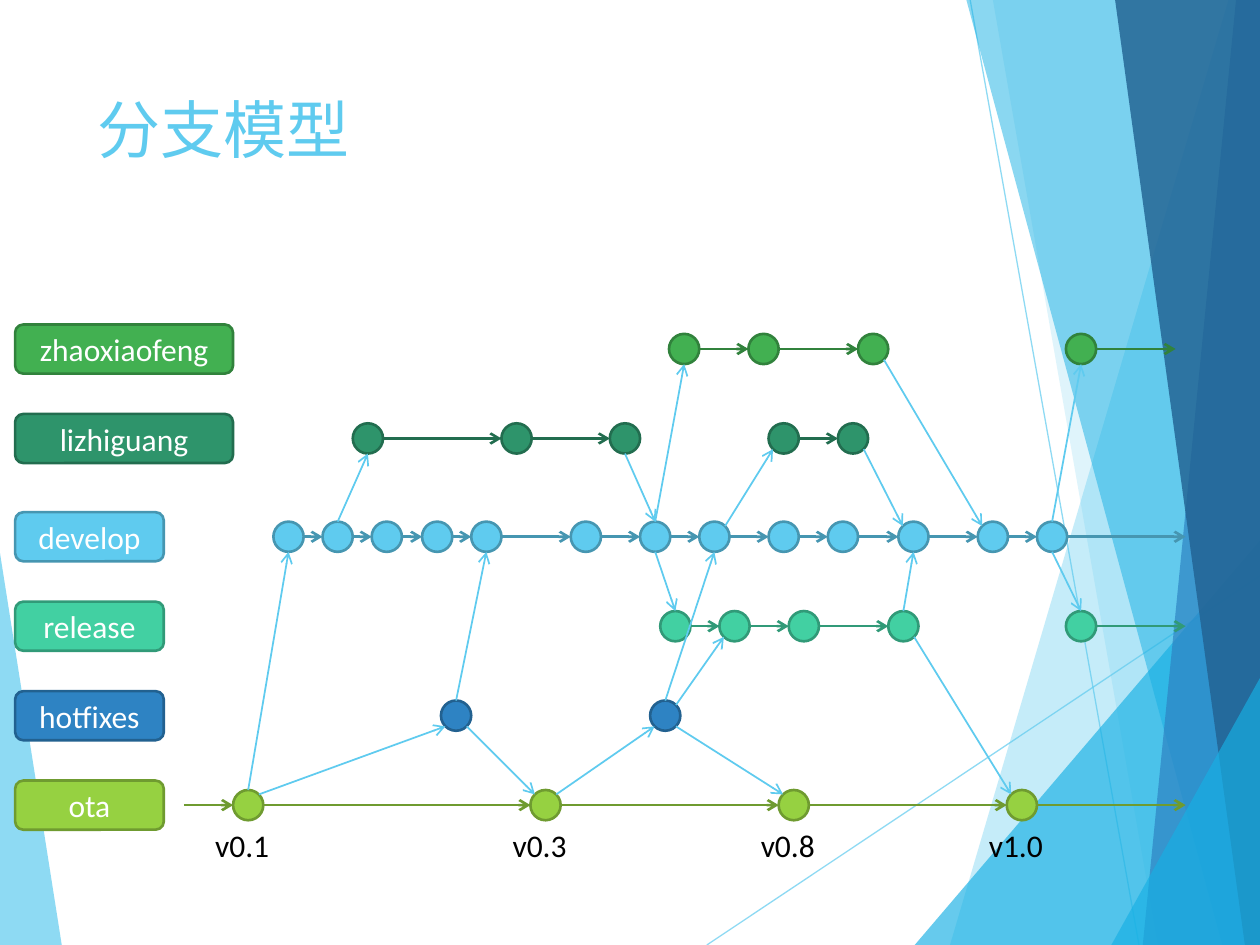
"""Build the branching model slide: one lane per branch, with merges between lanes."""
from lxml import etree
from pptx import Presentation
from pptx.dml.color import RGBColor
from pptx.enum.shapes import MSO_CONNECTOR, MSO_SHAPE
from pptx.enum.text import MSO_ANCHOR, PP_ALIGN
from pptx.oxml.ns import qn
from pptx.util import Inches, Pt

STRAIGHT = MSO_CONNECTOR.STRAIGHT
ROUNDED, CIRCLE = MSO_SHAPE.ROUNDED_RECTANGLE, MSO_SHAPE.FLOWCHART_CONNECTOR
TOP, MIDDLE = MSO_ANCHOR.TOP, MSO_ANCHOR.MIDDLE
LEFT, CENTER = PP_ALIGN.LEFT, PP_ALIGN.CENTER

SKY = RGBColor(0x5F, 0xCB, 0xEF)
SKY_DARK = RGBColor(0x46, 0x96, 0xB1)
CYAN = RGBColor(0x17, 0xB0, 0xE4)
BLUE = RGBColor(0x2E, 0x83, 0xC3)
BLUE_DARK = RGBColor(0x22, 0x61, 0x90)
NAVY = RGBColor(0x22, 0x62, 0x92)
GREEN = RGBColor(0x42, 0xB0, 0x51)
GREEN_DARK = RGBColor(0x31, 0x82, 0x3C)
PINE = RGBColor(0x2E, 0x94, 0x6B)
PINE_DARK = RGBColor(0x22, 0x6D, 0x4F)
MINT = RGBColor(0x42, 0xD0, 0xA2)
MINT_DARK = RGBColor(0x31, 0x9A, 0x78)
LIME = RGBColor(0x96, 0xD1, 0x41)
LIME_DARK = RGBColor(0x6F, 0x9B, 0x30)
WHITE = RGBColor(0xFF, 0xFF, 0xFF)
BLACK = RGBColor(0, 0, 0)

FONT = "Calibri"
NODE = 0.24
R = NODE / 2
D = 0.085
PORTS = {"n": (0, -R), "s": (0, R), "ne": (D, -D), "nw": (-D, -D),
         "se": (D, D), "sw": (-D, D)}


def set_alpha(color_parent, percent):
    clr = next(color_parent.iter(qn("a:srgbClr")))
    etree.SubElement(clr, qn("a:alpha")).set("val", str(percent * 1000))


def add_line(x1, y1, x2, y2, color, width, arrow=True):
    cxn = shapes.add_connector(STRAIGHT, Inches(x1), Inches(y1), Inches(x2), Inches(y2))
    cxn.line.color.rgb = color
    cxn.line.width = Pt(width)
    spPr = cxn._element.spPr
    if arrow:
        etree.SubElement(spPr.find(qn("a:ln")), qn("a:tailEnd")).set("type", "arrow")
    etree.SubElement(spPr, qn("a:effectLst"))
    return cxn


prs = Presentation()
prs.slide_width, prs.slide_height = Inches(10), Inches(7.5)
s = prs.slides.add_slide(prs.slide_layouts[5])
shapes = s.shapes

title = shapes.title
title.left, title.top, title.width, title.height = map(Inches, (0.67, 0.67, 6.94, 1.44))
tf = title.text_frame
tf.text = "分支模型"
tf.vertical_anchor = TOP
p = tf.paragraphs[0]
p.alignment = LEFT
p.font.name, p.font.size, p.font.color.rgb = FONT, Pt(36), SKY

for ends in [(5.61, 7.5, 10, 4.57), (7.7, 0, 9.04, 7.5)]:
    ray = add_line(*ends, SKY, 0.75, arrow=False)
    set_alpha(ray._element.spPr, 70)

facets = [
    (SKY, 70, [(0, 4.39), (0.49, 7.5), (0, 7.5)]),
    (SKY, 36, [(9.75, 0), (7.54, 7.5), (10, 7.5), (10, 0)]),
    (SKY, 20, [(7.88, 0), (9.19, 7.5), (10, 7.5), (10, 0)]),
    (CYAN, 66, [(7.26, 7.5), (10, 4.29), (10, 7.5)]),
    (CYAN, 50, [(7.67, 0), (9.7, 7.5), (10, 7.5), (10, 0)]),
    (BLUE, 70, [(9.81, 0), (9.07, 7.5), (10, 7.5), (10, 0)]),
    (NAVY, 82, [(8.85, 0), (9.88, 7.5), (10, 7.5), (10, 0)]),
    (CYAN, 66, [(8.82, 7.5), (10, 5.38), (10, 7.5)]),
]
for color, alpha, points in facets:
    corners = [(Inches(x), Inches(y)) for x, y in points]
    builder = shapes.build_freeform(*corners[0])
    builder.add_line_segments(corners[1:], close=True)
    sp = builder.convert_to_shape()
    sp.shadow.inherit = False
    sp.fill.solid()
    sp.fill.fore_color.rgb = color
    sp.line.fill.background()
    set_alpha(sp._element.spPr, alpha)

# lane: name, centre height, label width, fill, line, runs of (node lefts, arrow end)
lanes = [
    ("zhaoxiaofeng", 2.77, 1.73, GREEN, GREEN_DARK,
     [([5.31, 5.94, 6.81], None), ([8.46], 9.33)]),
    ("lizhiguang", 3.48, 1.73, PINE, PINE_DARK,
     [([2.8, 3.98, 4.84], None), ([6.1, 6.65], None)]),
    ("develop", 4.26, 1.18, SKY, SKY_DARK,
     [([2.17, 2.56, 2.95, 3.35, 3.74, 4.53, 5.08, 5.55, 6.1, 6.57, 7.13, 7.76, 8.23], 9.41)]),
    ("release", 4.97, 1.18, MINT, MINT_DARK,
     [([5.24, 5.71, 6.26, 7.05], None), ([8.46], 9.41)]),
    ("hotfixes", 5.68, 1.18, BLUE, BLUE_DARK, [([3.5], None), ([5.16], None)]),
    ("ota", 6.39, 1.18, LIME, LIME_DARK, [([1.85, 4.21, 6.18, 7.99], 9.41)]),
]
commits = {}
for name, y, width, fill, line, runs in lanes:
    lefts = [x for run, end in runs for x in run]
    commits[name] = [(x + R, y) for x in lefts]
    boxes = [(ROUNDED, 0.12, width, 0.39, name)]
    boxes += [(CIRCLE, x, NODE, NODE, "") for x in lefts]
    for kind, x, w, h, text in boxes:
        sp = shapes.add_shape(kind, Inches(x), Inches(y - h / 2), Inches(w), Inches(h))
        sp.shadow.inherit = False
        sp.fill.solid()
        sp.fill.fore_color.rgb = fill
        sp.line.color.rgb = line
        sp.line.width = Pt(1.5)
        if text:
            tf = sp.text_frame
            tf.text = text
            tf.vertical_anchor = MIDDLE
            p = tf.paragraphs[0]
            p.alignment = CENTER
            p.font.name, p.font.size, p.font.color.rgb = FONT, Pt(18), WHITE
    for run, end in runs:
        stops = run[1:] + ([end] if end else [])
        for x, stop in zip(run, stops):
            add_line(x + NODE, y, stop, y, line, 1.5)
add_line(1.46, 6.39, 1.85, 6.39, LIME_DARK, 1.5)

merges = [
    ("ota", 0, "n", "develop", 0, "s"),
    ("ota", 0, "ne", "hotfixes", 0, "sw"),
    ("hotfixes", 0, "se", "ota", 1, "nw"),
    ("hotfixes", 0, "n", "develop", 4, "s"),
    ("develop", 1, "n", "lizhiguang", 0, "s"),
    ("lizhiguang", 2, "s", "develop", 6, "n"),
    ("develop", 6, "n", "zhaoxiaofeng", 0, "s"),
    ("develop", 6, "s", "release", 0, "n"),
    ("ota", 1, "ne", "hotfixes", 1, "sw"),
    ("release", 3, "n", "develop", 10, "s"),
    ("develop", 7, "ne", "lizhiguang", 3, "sw"),
    ("lizhiguang", 4, "se", "develop", 10, "nw"),
    ("release", 3, "se", "ota", 3, "nw"),
    ("zhaoxiaofeng", 2, "se", "develop", 11, "nw"),
    ("develop", 12, "n", "zhaoxiaofeng", 3, "s"),
    ("develop", 12, "s", "release", 4, "n"),
    ("hotfixes", 1, "se", "ota", 2, "nw"),
    ("hotfixes", 1, "ne", "release", 1, "sw"),
    ("hotfixes", 1, "n", "develop", 7, "s"),
]
for source, i, out_port, target, j, in_port in merges:
    (x1, y1), (x2, y2) = commits[source][i], commits[target][j]
    (dx1, dy1), (dx2, dy2) = PORTS[out_port], PORTS[in_port]
    add_line(x1 + dx1, y1 + dy1, x2 + dx2, y2 + dy2, SKY, 1)

for version, (x, y) in zip(["v0.1", "v0.3", "v0.8", "v1.0"], commits["ota"]):
    sp = shapes.add_textbox(Inches(x - 0.36), Inches(y + R), Inches(0.67), Inches(0.4))
    tf = sp.text_frame
    tf.word_wrap = False
    tf.text = version
    p = tf.paragraphs[0]
    p.font.name, p.font.size, p.font.color.rgb = FONT, Pt(18), BLACK

prs.save("out.pptx")
